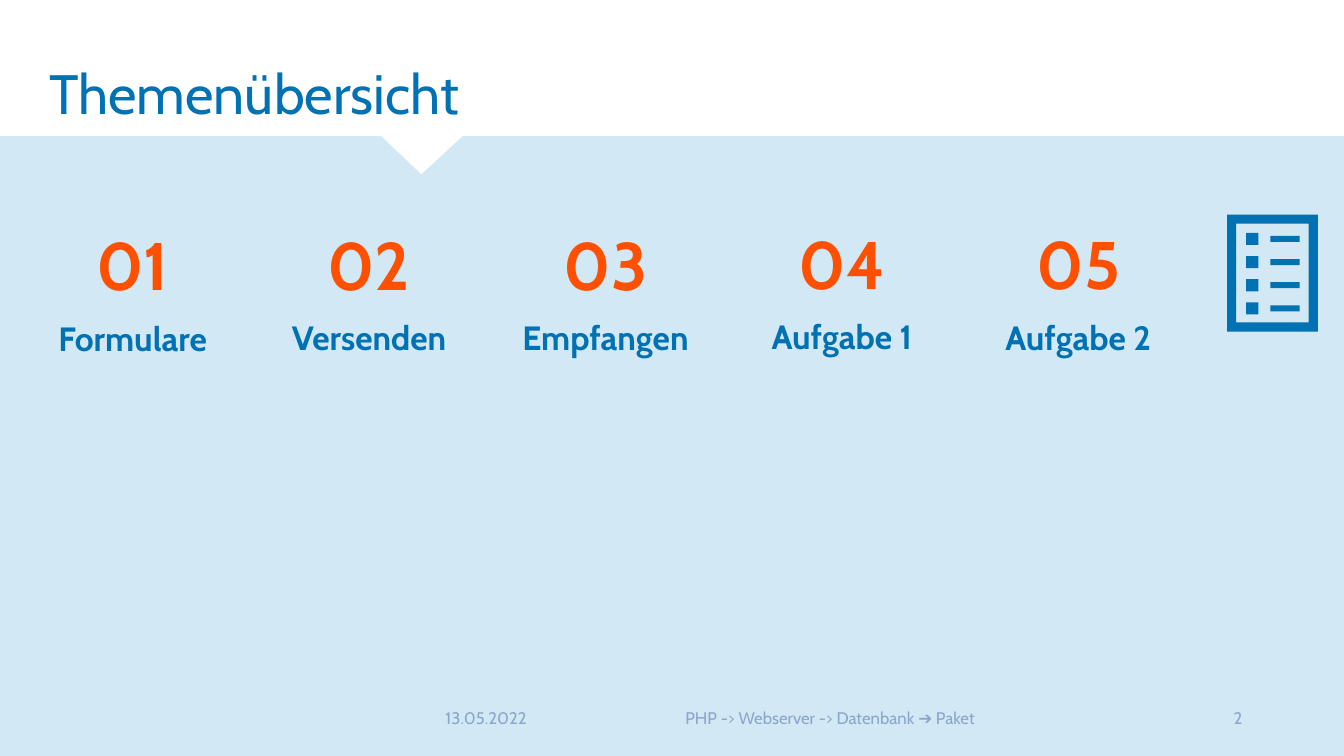
from dataclasses import dataclass, field

from pptx import Presentation
from pptx.dml import color
from pptx.enum import shapes, text
from pptx import util as u

BLUE, ORANGE, GREY, PALE = "0071B2", "FE5000", "8CA5C9", "D2E8F4"
LEFT, MID, RIGHT = text.PP_ALIGN.LEFT, text.PP_ALIGN.CENTER, text.PP_ALIGN.RIGHT
TOP, CENTER = text.MSO_ANCHOR.TOP, text.MSO_ANCHOR.MIDDLE


@dataclass
class Style:
    size: float
    hue: str
    align: int = LEFT
    anchor: int = TOP
    line: float = 1.0
    font: dict = field(default_factory=dict)


@dataclass
class Label:
    words: str
    box: tuple[float, float, float, float]
    style: Style


@dataclass
class Topic:
    name: str
    top: float
    base: float


HEAD = Style(39.6, BLUE, line=0.9)
NUMBER = Style(48, ORANGE, MID, line=0.8, font={"bold": True})
NAME = Style(24, BLUE, MID, line=0.9, font={"bold": True})

LABELS = [
    Label("Themenübersicht", (0.39, 0.61, 5.48, 0.74), HEAD),
    Label("13.05.2022", (4.32, 6.9, 1.55, 0.45), Style(12, GREY, LEFT, CENTER)),
    Label("PHP -> Webserver -> Datenbank ➔ Paket", (5.87, 6.9, 4.73, 0.45),
          Style(12, GREY, MID, CENTER)),
    Label("2", (10.6, 6.9, 1.82, 0.45), Style(12, GREY, RIGHT, CENTER)),
]

TOPICS = [
    Topic("Formulare", 2.32, 3.15),
    Topic("Versenden", 2.32, 3.14),
    Topic("Empfangen", 2.32, 3.14),
    Topic("Aufgabe 1", 2.31, 3.13),
    Topic("Aufgabe 2", 2.31, 3.14),
]
START, END, WIDTH = 0.14, 9.52, 2.35
PITCH = (END - START) / (len(TOPICS) - 1)

# Panel outline with the notch below the title
PANEL = [(0, 1.35), (3.78, 1.35), (4.18, 1.73), (4.59, 1.35),
         (13.33, 1.35), (13.33, 7.5), (0, 7.5)]


def rgb(code: str) -> color.RGBColor:
    return color.RGBColor.from_string(code)


def paint(shape, hue: str) -> None:
    """Give a flat fill without outline or shadow."""
    shape.shadow.inherit = False
    shape.fill.solid()
    shape.fill.fore_color.rgb = rgb(hue)
    shape.line.fill.background()


def write(slide, label: Label) -> None:
    style = label.style
    frame = slide.shapes.add_textbox(*map(u.Inches, label.box)).text_frame
    para = frame.paragraphs[0]
    para.text = label.words
    font = {"name": "Cabin", "size": u.Pt(style.size), **style.font}
    formats = [
        (frame, {"word_wrap": True, "vertical_anchor": style.anchor}),
        (para, {"alignment": style.align, "line_spacing": style.line}),
        (para.runs[0].font, font),
    ]
    for target, values in formats:
        for key, value in values.items():
            setattr(target, key, value)
    para.runs[0].font.color.rgb = rgb(style.hue)


def block(slide, kind, box: tuple[float, float, float, float]):
    shape = slide.shapes.add_shape(kind, *map(u.Inches, box))
    paint(shape, BLUE)
    return shape


def panel(slide) -> None:
    first, *rest = [(u.Inches(x), u.Inches(y)) for x, y in PANEL]
    path = slide.shapes.build_freeform(*first)
    path.add_line_segments(rest, close=True)
    paint(path.convert_to_shape(), PALE)


def icon(slide) -> None:
    """Draw the checklist: a frame with four bulleted rows."""
    kinds = shapes.MSO_SHAPE
    block(slide, kinds.FRAME, (12.17, 2.13, 0.9, 1.16)).adjustments[0] = 0.1
    for row in range(4):
        y = 2.31 + row * 0.23
        block(slide, kinds.RECTANGLE, (12.36, y, 0.12, 0.12))
        block(slide, kinds.RECTANGLE, (12.6, y + 0.03, 0.29, 0.06))


def main() -> None:
    deck = Presentation()
    deck.slide_width, deck.slide_height = u.Inches(13.33), u.Inches(7.5)
    slide = deck.slides.add_slide(deck.slide_layouts[6])
    panel(slide)
    icon(slide)
    for label in LABELS:
        write(slide, label)
    for i, topic in enumerate(TOPICS):
        x = START + i * PITCH
        write(slide, Label(f"{i + 1:02}", (x, topic.top, WIDTH, 0.77), NUMBER))
        write(slide, Label(topic.name, (x, topic.base, WIDTH, 0.46), NAME))
    deck.save("out.pptx")


if __name__ == "__main__":
    main()
